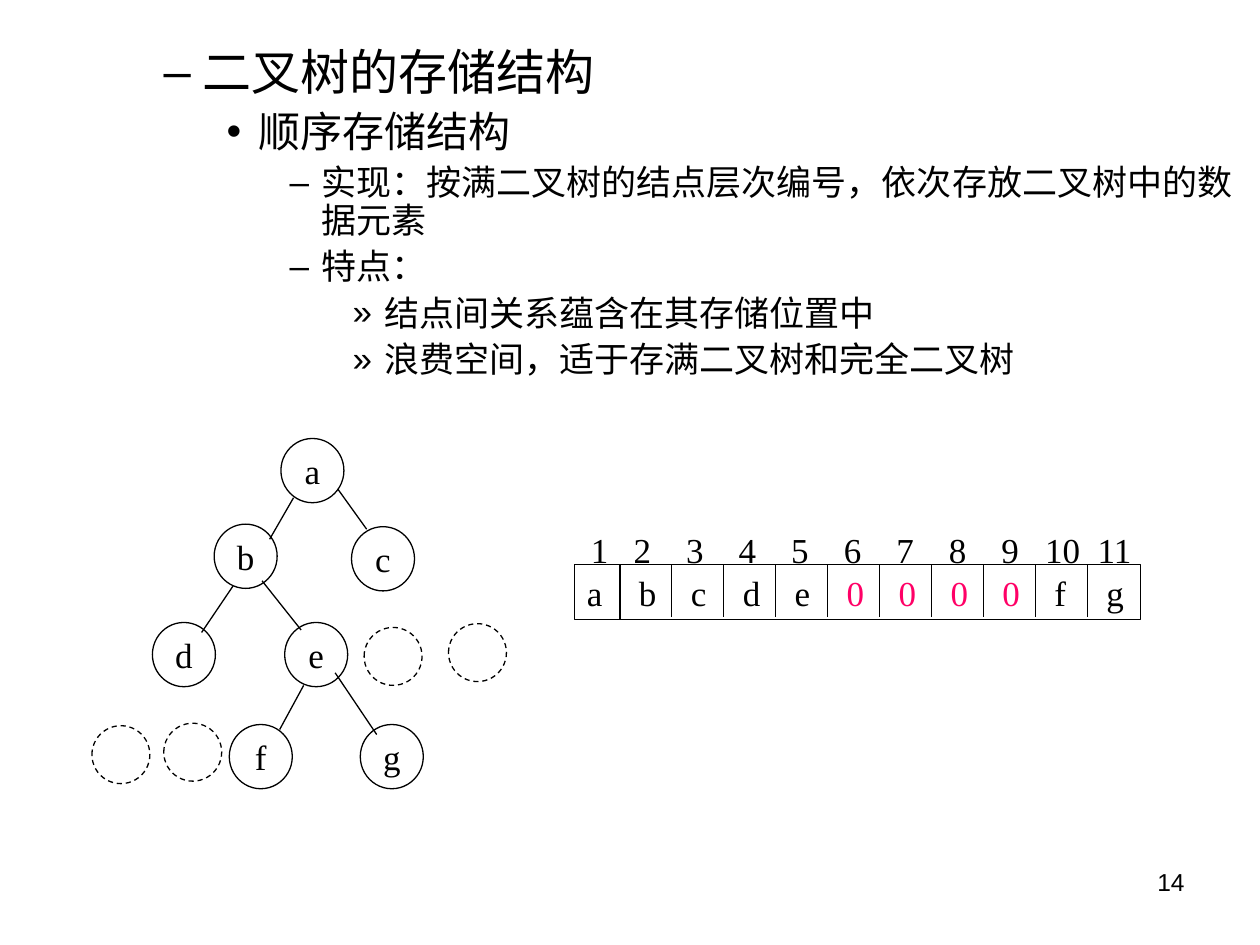
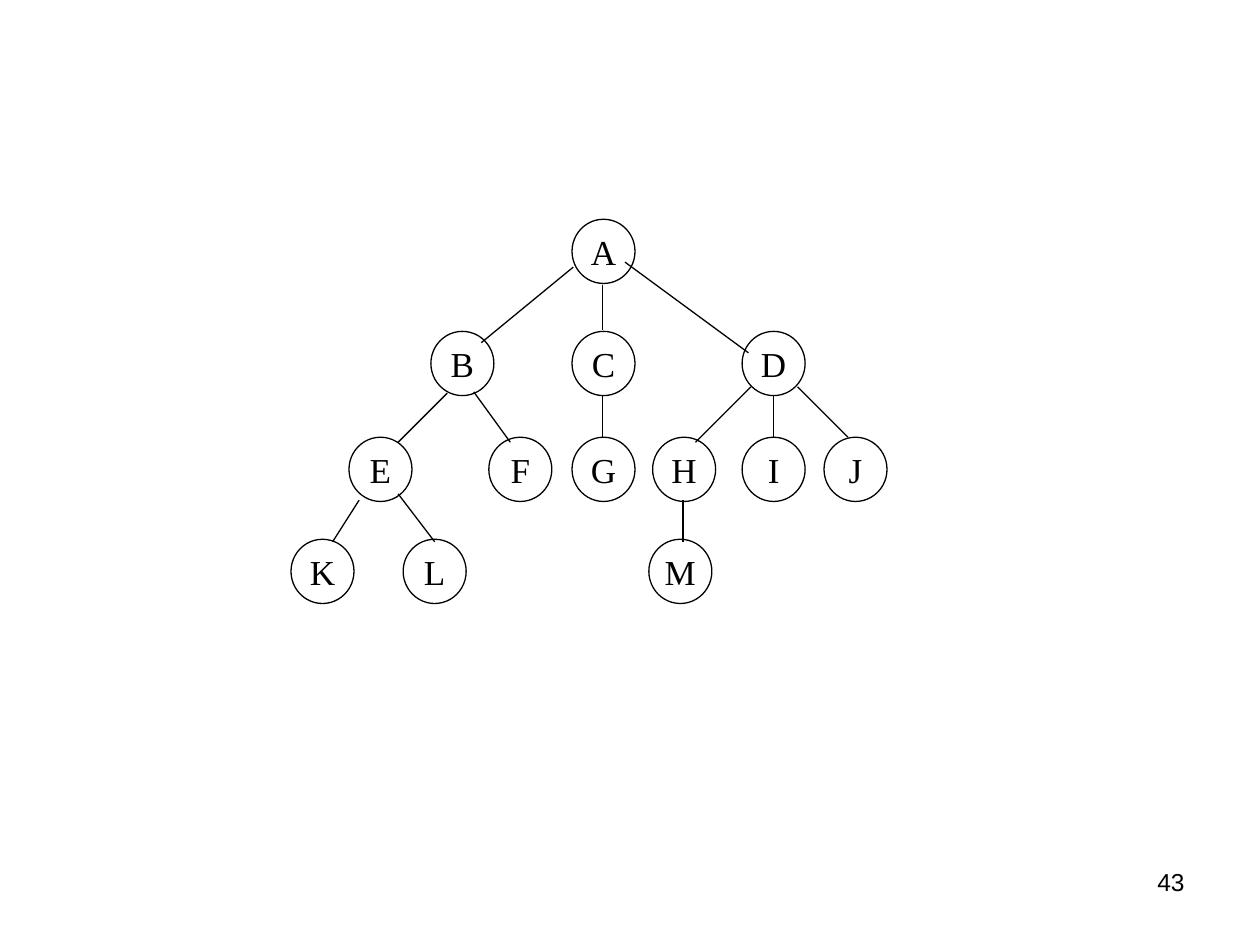
from dataclasses import dataclass
from typing import Any

from lxml import etree
from pptx import Presentation
from pptx.dml.color import RGBColor
from pptx.enum import dml, shapes, text
from pptx.oxml.ns import qn
from pptx.util import Inches, Pt

BLACK, PINK = "000000", "FF0066"
SANS, SERIF = "Arial", "Times New Roman"
LINE_WIDTH = Pt(0.75)
NODE_SIZE = (0.5, 0.51)
EMPTY_SIZE = (0.46, 0.46)


@dataclass(frozen=True)
class Node:
    label: str
    x: float
    y: float


@dataclass(frozen=True)
class Edge:
    x1: float
    y1: float
    x2: float
    y2: float


@dataclass(frozen=True)
class Level:
    bullet: str
    margin: float
    hang: float
    size: int
    before: int


LEVELS = {
    1: Level("–", 0.81, 0.31, 28, 7),
    2: Level("•", 1.25, 0.25, 24, 6),
    3: Level("–", 1.75, 0.25, 20, 5),
    4: Level("»", 2.25, 0.25, 20, 5),
}


# Shared helpers
def color(value: str) -> RGBColor:
    return RGBColor.from_string(value)


def apply(target: Any, formats: dict[str, Any]) -> None:
    for name, value in formats.items():
        setattr(target, name, value)


def add_run(p: Any, content: str, size: int, font: str, fill: str = BLACK) -> None:
    r = p.add_run()
    r.text = content
    apply(r.font, {"size": Pt(size), "name": font})
    r.font.color.rgb = color(fill)


def set_frame(sp: Any, wrap: bool, anchor: Any) -> Any:
    tf = sp.text_frame
    apply(tf, {"word_wrap": wrap, "vertical_anchor": anchor})
    return tf


def set_tabs(p: Any, stops: list[float]) -> None:
    tabs = etree.SubElement(p._p.get_or_add_pPr(), qn("a:tabLst"))
    for stop in stops:
        etree.SubElement(tabs, qn("a:tab"), pos=str(Inches(stop)), algn="l")


def add_outline(parent: Any, kind: Any, x: float, y: float, w: float, h: float) -> Any:
    sp = parent.add_shape(kind, Inches(x), Inches(y), Inches(w), Inches(h))
    sp.shadow.inherit = False
    sp.fill.background()
    sp.line.color.rgb = color(BLACK)
    sp.line.width = LINE_WIDTH
    return sp


def add_edge(parent: Any, edge: Edge) -> None:
    ends = [Inches(v) for v in (edge.x1, edge.y1, edge.x2, edge.y2)]
    cn = parent.add_connector(shapes.MSO_CONNECTOR.STRAIGHT, *ends)
    cn.line.color.rgb = color(BLACK)
    cn.line.width = LINE_WIDTH
    etree.SubElement(cn._element.spPr, qn("a:effectLst"))


def add_node(parent: Any, node: Node) -> None:
    sp = add_outline(parent, shapes.MSO_SHAPE.OVAL, node.x, node.y, *NODE_SIZE)
    p = set_frame(sp, False, text.MSO_ANCHOR.MIDDLE).paragraphs[0]
    p.alignment = text.PP_ALIGN.CENTER
    add_run(p, node.label, 20, SERIF)


def add_tree(s: Any, nodes: list[Node], edges: list[Edge]) -> None:
    group = s.shapes.add_group_shape().shapes
    for node in nodes:
        add_node(group, node)
    for edge in edges:
        add_edge(group, edge)


def add_page_number(s: Any, number: int) -> None:
    sp = s.shapes.add_textbox(Inches(7.17), Inches(6.83), Inches(2.33), Inches(0.52))
    p = set_frame(sp, True, text.MSO_ANCHOR.TOP).paragraphs[0]
    p.alignment = text.PP_ALIGN.RIGHT
    add_run(p, str(number), 14, SANS)


# Outline text
def add_body(s: Any, lines: list[tuple[int, str]]) -> None:
    sp = s.shapes.add_textbox(Inches(0.7), Inches(0.33), Inches(9.3), Inches(2.96))
    tf = set_frame(sp, True, text.MSO_ANCHOR.TOP)
    for i, (depth, content) in enumerate(lines):
        level = LEVELS[depth]
        p = tf.add_paragraph() if i else tf.paragraphs[0]
        apply(p, {"level": depth, "line_spacing": 0.9, "space_before": Pt(level.before)})
        pPr = p._p.get_or_add_pPr()
        pPr.set("marL", str(Inches(level.margin)))
        pPr.set("indent", str(-Inches(level.hang)))
        etree.SubElement(pPr, qn("a:buFont"), typeface=SANS)
        etree.SubElement(pPr, qn("a:buChar"), char=level.bullet)
        add_run(p, content, level.size, SANS)


# Sequential storage array with its index numbers
def add_array(s: Any, values: str) -> None:
    group = s.shapes.add_group_shape().shapes
    top, height, count = 4.48, 0.44, len(values)
    first, last = 4.92, 8.63
    step = (last - first) / (count - 2)

    sp = add_outline(group, shapes.MSO_SHAPE.RECTANGLE, 4.56, top, 4.49, height)
    tf = set_frame(sp, True, text.MSO_ANCHOR.MIDDLE)
    p = tf.paragraphs[0]
    p.alignment = text.PP_ALIGN.LEFT
    set_tabs(p, [step * i for i in range(1, count)])
    for i, value in enumerate(values):
        add_run(p, ("\t" if i else "") + value, 20, SERIF, PINK if value == "0" else BLACK)

    for i in range(count - 1):
        x = first + step * i
        add_edge(group, Edge(x, top, x, top + (0.42 if i else height)))

    sp = group.add_textbox(Inches(4.59), Inches(4.14), Inches(4.51), Inches(height))
    tf = set_frame(sp, True, text.MSO_ANCHOR.MIDDLE)
    tf.margin_right = 0
    p = tf.paragraphs[0]
    # Two-digit numbers start a little further left
    set_tabs(p, [0.34 + 0.417 * (n - 2) - (0.07 if n > 9 else 0) for n in range(2, count + 1)])
    add_run(p, "\t".join(str(n) for n in range(1, count + 1)), 20, SERIF)


def add_empty_nodes(s: Any, corners: list[tuple[float, float]]) -> None:
    group = s.shapes.add_group_shape().shapes
    for x, y in corners:
        sp = add_outline(group, shapes.MSO_SHAPE.OVAL, x, y, *EMPTY_SIZE)
        sp.line.dash_style = dml.MSO_LINE.DASH


STORAGE_LINES = [
    (1, "二叉树的存储结构"),
    (2, "顺序存储结构"),
    (3, "实现：按满二叉树的结点层次编号，依次存放二叉树中的数据元素"),
    (3, "特点："),
    (4, "结点间关系蕴含在其存储位置中"),
    (4, "浪费空间，适于存满二叉树和完全二叉树"),
]
BINARY_NODES = [
    Node("a", 2.23, 3.48),
    Node("b", 1.7, 4.16), Node("c", 2.79, 4.18),
    Node("d", 1.21, 4.94), Node("e", 2.26, 4.94),
    Node("f", 1.82, 5.75), Node("g", 2.86, 5.75),
]
BINARY_EDGES = [
    Edge(2.33, 3.95, 2.14, 4.28), Edge(2.68, 3.88, 2.91, 4.2),
    Edge(1.85, 4.65, 1.6, 5.02), Edge(2.08, 4.61, 2.39, 5),
    Edge(2.41, 5.44, 2.22, 5.79), Edge(2.66, 5.34, 2.99, 5.83),
]
EMPTY_CORNERS = [(2.89, 4.98), (3.56, 4.95), (0.73, 5.76), (1.3, 5.74)]

# Rows of the general tree: top, then the left edge of each node
TREE_ROWS = [
    (1.74, {"A": 4.54}),
    (2.63, {"B": 3.42, "C": 4.54, "D": 5.89}),
    (3.47, {"E": 2.77, "F": 3.88, "G": 4.54, "H": 5.18, "I": 5.89, "J": 6.54}),
    (4.28, {"K": 2.31, "L": 3.2, "M": 5.15}),
]
TREE_EDGES = [
    Edge(4.55, 2.12, 3.82, 2.72), Edge(4.78, 2.26, 4.78, 2.62), Edge(4.96, 2.08, 5.94, 2.8),
    Edge(3.55, 3.12, 3.16, 3.51), Edge(3.76, 3.11, 4.05, 3.51),
    Edge(4.78, 3.14, 4.78, 3.47),
    Edge(5.96, 3.07, 5.52, 3.51), Edge(6.14, 3.14, 6.14, 3.47), Edge(6.33, 3.07, 6.73, 3.47),
    Edge(2.85, 3.97, 2.64, 4.3), Edge(3.16, 3.92, 3.45, 4.3),
    Edge(5.42, 3.97, 5.42, 4.3),
]


def main() -> None:
    prs = Presentation()
    apply(prs, {"slide_width": Inches(10), "slide_height": Inches(7.5)})
    blank = prs.slide_layouts[6]

    # Sequential storage of a binary tree
    s = prs.slides.add_slide(blank)
    add_body(s, STORAGE_LINES)
    add_tree(s, BINARY_NODES, BINARY_EDGES)
    add_array(s, "abcde0000fg")
    add_empty_nodes(s, EMPTY_CORNERS)
    add_page_number(s, 14)

    # General tree
    s = prs.slides.add_slide(blank)
    nodes = [Node(label, x, y) for y, row in TREE_ROWS for label, x in row.items()]
    add_tree(s, nodes, TREE_EDGES)
    add_page_number(s, 43)

    prs.save("out.pptx")


if __name__ == "__main__":
    main()
